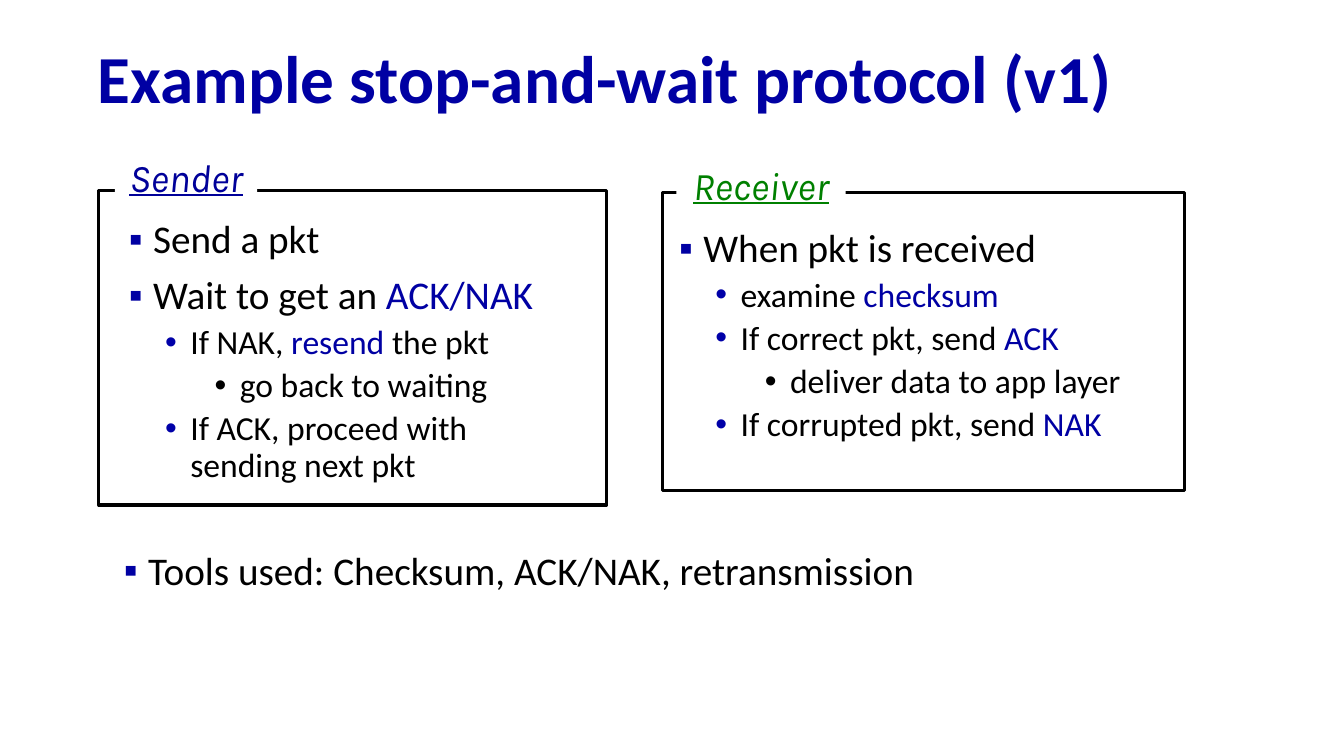
import dataclasses

import lxml.etree
import pptx
import pptx.dml.color
import pptx.enum.shapes
import pptx.enum.text
import pptx.oxml.ns
import pptx.util

COLUMNS, ROWS = 40, 30
SLIDE_WIDTH, SLIDE_HEIGHT = pptx.util.Inches(13.33), pptx.util.Inches(7.5)


@dataclasses.dataclass(frozen=True)
class Theme:
    text: str = "000000"
    paper: str = "FFFFFF"
    accent: str = "0000A3"
    sub_bullet: str = "0000A8"
    sender: str = "000099"
    receiver: str = "008000"
    body_font: str = "Calibri"
    label_font: str = "Karla"
    title_size: int = 48
    large_size: int = 28
    small_size: int = 24
    frame_width: float = 2.25


THEME = Theme()


@dataclasses.dataclass(frozen=True)
class Level:
    size: int
    margin: float
    hanging: float
    space: int
    bullet: str
    bullet_color: str


LEVELS = (
    Level(THEME.large_size, 0.39, 0.24, 10, "▪", THEME.accent),
    Level(THEME.small_size, 0.76, 0.25, 5, "•", THEME.sub_bullet),
    Level(THEME.small_size, 1.25, 0.25, 5, "•", THEME.text),
)


@dataclasses.dataclass(frozen=True)
class Box:
    """A rectangle in columns and rows of the slide grid."""
    left: float
    top: float
    width: float
    height: float

    def inner(self, left, top, width, height):
        return Box(self.left + left, self.top + top, width, height)

    def lengths(self):
        column, row = SLIDE_WIDTH / COLUMNS, SLIDE_HEIGHT / ROWS
        return (round(self.left * column), round(self.top * row),
                round(self.width * column), round(self.height * row))


def rgb(color):
    return pptx.dml.color.RGBColor.from_string(color)


def add_text(para, text, size, color=THEME.text, font=THEME.body_font, **styles):
    """Add text to a paragraph; parts between asterisks take the accent colour."""
    for index, part in enumerate(text.split("*")):
        if part:
            span = para.add_run()
            span.text = part
            span.font.name = font
            span.font.size = pptx.util.Pt(size)
            span.font.color.rgb = rgb(THEME.accent if index % 2 else color)
            for name, value in styles.items():
                setattr(span.font, name, value)


def add_bullet(para, level):
    properties = para._p.get_or_add_pPr()
    properties.set("marL", str(pptx.util.Inches(level.margin)))
    properties.set("indent", str(-pptx.util.Inches(level.hanging)))
    qualified = pptx.oxml.ns.qn
    color = lxml.etree.SubElement(properties, qualified("a:buClr"))
    lxml.etree.SubElement(color, qualified("a:srgbClr"), val=level.bullet_color)
    lxml.etree.SubElement(properties, qualified("a:buFont"), typeface="Arial")
    lxml.etree.SubElement(properties, qualified("a:buChar"), char=level.bullet)


def add_list(page, box, items):
    """Place a bulleted list of (level, text) items."""
    frame = page.shapes.add_textbox(*box.lengths()).text_frame
    frame.word_wrap = True
    for index, (depth, text) in enumerate(items):
        para = frame.add_paragraph() if index else frame.paragraphs[0]
        level = LEVELS[depth]
        add_bullet(para, level)
        para.level = depth
        para.line_spacing = 0.9
        if index:
            para.space_before = pptx.util.Pt(level.space)
        add_text(para, text, level.size)


def add_rectangle(page, box):
    shape = page.shapes.add_shape(
        pptx.enum.shapes.MSO_SHAPE.RECTANGLE, *box.lengths())
    shape.shadow.inherit = False
    return shape


def add_panel(page, box, label, color, label_box, list_box, items):
    """Place a frame, a label that breaks its top edge, and its list."""
    outline = add_rectangle(page, box)
    outline.fill.background()
    outline.line.color.rgb = rgb(THEME.text)
    outline.line.width = pptx.util.Pt(THEME.frame_width)

    tab = add_rectangle(page, box.inner(*label_box))
    tab.fill.solid()
    tab.fill.fore_color.rgb = rgb(THEME.paper)
    tab.line.fill.background()
    frame = tab.text_frame
    frame.word_wrap = False
    frame.vertical_anchor = pptx.enum.text.MSO_ANCHOR.TOP
    para = frame.paragraphs[0]
    para.alignment = pptx.enum.text.PP_ALIGN.CENTER
    add_text(para, label, THEME.large_size, color, THEME.label_font,
             italic=True, underline=True)

    add_list(page, box.inner(*list_box), items)


def add_title(page, box, text):
    title = page.shapes.title
    title.left, title.top, title.width, title.height = box.lengths()
    frame = title.text_frame
    frame.word_wrap = True
    frame.vertical_anchor = pptx.enum.text.MSO_ANCHOR.MIDDLE
    para = frame.paragraphs[0]
    para.alignment = pptx.enum.text.PP_ALIGN.LEFT
    para.line_spacing = 0.9
    add_text(para, text, THEME.title_size, THEME.accent, bold=True)


def add_protocol_slide(deck):
    page = deck.slides.add_slide(deck.slide_layouts[5])
    add_title(page, Box(2.61, 1.28, 36.42, 3.92),
              "Example stop-and-wait protocol (v1)")
    add_panel(page, Box(2.94, 7.56, 15.12, 12.48), "Sender", THEME.sender,
              label_box=(0.48, -1.68, 4.23, 1.8),
              list_box=(0.15, 0.96, 14.43, 11.52),
              items=((0, "Send a pkt"),
                     (0, "Wait to get an *ACK/NAK*"),
                     (1, "If NAK, *resend* the pkt"),
                     (2, "go back to waiting"),
                     (1, "If ACK, proceed with sending next pkt")))
    add_panel(page, Box(19.71, 7.64, 15.54, 11.84), "Receiver", THEME.receiver,
              label_box=(0.42, -1.44, 5.04, 2.28),
              list_box=(-0.24, 1.24, 15.24, 10.52),
              items=((0, "When pkt is received"),
                     (1, "examine *checksum*"),
                     (1, "If correct pkt, send *ACK*"),
                     (2, "deliver data to app layer"),
                     (1, "If corrupted pkt, send *NAK*")))
    add_list(page, Box(2.94, 21.68, 26.22, 3.08),
             ((0, "Tools used: Checksum, ACK/NAK, retransmission"),))


def main():
    deck = pptx.Presentation()
    deck.slide_width, deck.slide_height = SLIDE_WIDTH, SLIDE_HEIGHT
    add_protocol_slide(deck)
    deck.save("out.pptx")


if __name__ == "__main__":
    main()
